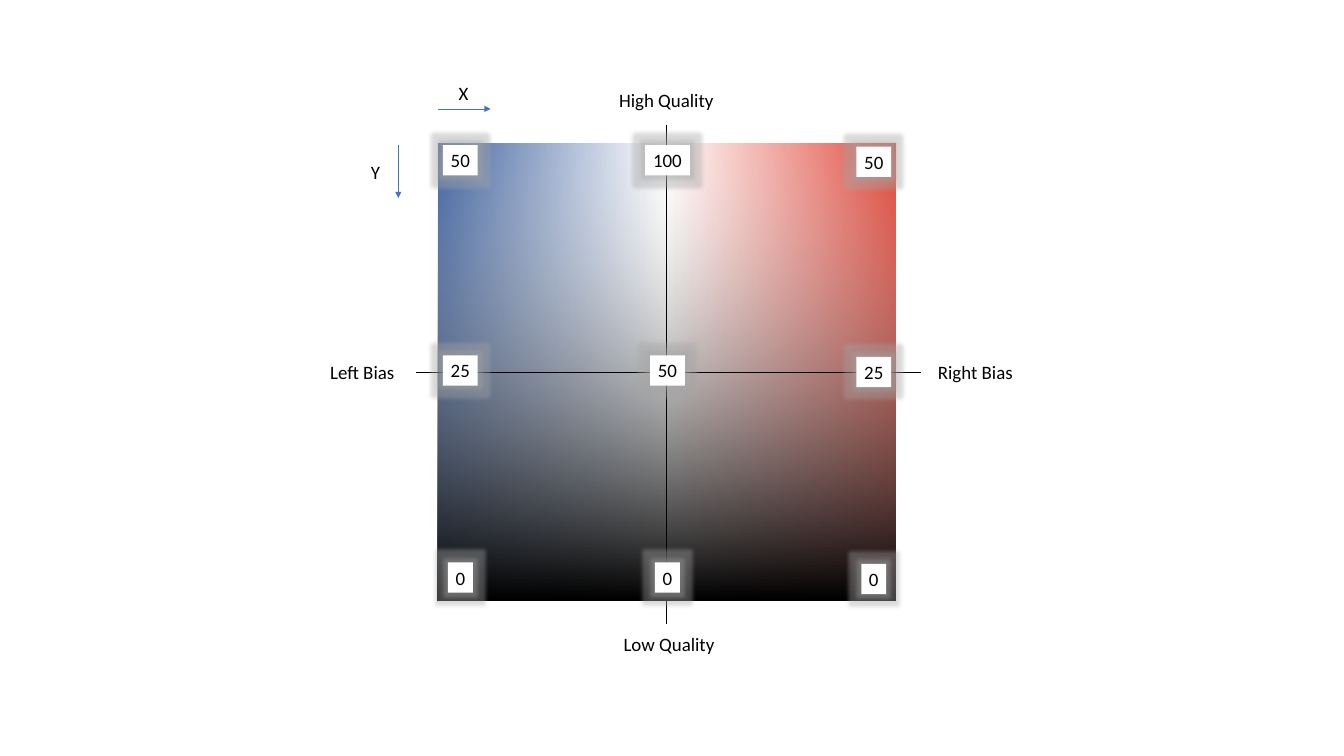
"""Build a slide with a bias and quality colour map and its scores."""
from lxml import etree
from pptx import Presentation
from pptx.dml.color import RGBColor
from pptx.enum.shapes import MSO_CONNECTOR, MSO_SHAPE
from pptx.enum.text import MSO_AUTO_SIZE, PP_ALIGN
from pptx.oxml.ns import qn
from pptx.util import Inches, Pt

RECTANGLE = MSO_SHAPE.RECTANGLE
STRAIGHT = MSO_CONNECTOR.STRAIGHT
FIT_SHAPE = MSO_AUTO_SIZE.SHAPE_TO_FIT_TEXT
LEFT, CENTER = PP_ALIGN.LEFT, PP_ALIGN.CENTER
BLACK = RGBColor(0x00, 0x00, 0x00)
WHITE = RGBColor(0xFF, 0xFF, 0xFF)
BLUE = RGBColor(0x2F, 0x55, 0x97)
RED = RGBColor(0xDD, 0x37, 0x29)
ARROW_BLUE = RGBColor(0x44, 0x72, 0xC4)
GLOW_GRAY = RGBColor(0xA5, 0xA5, 0xA5)


def add_color(parent, color, opacity):
    element = etree.SubElement(parent, qn("a:srgbClr"), val=str(color))
    if opacity < 100:
        etree.SubElement(element, qn("a:alpha"), val=str(opacity * 1000))


def write_text(shape, text, alignment):
    frame = shape.text_frame
    frame.word_wrap = False
    frame.auto_size = FIT_SHAPE
    paragraph = frame.paragraphs[0]
    paragraph.alignment = alignment
    run = paragraph.add_run()
    run.text = text
    run.font.name = "Calibri"
    run.font.size = Pt(18)
    run.font.color.rgb = BLACK


presentation = Presentation()
presentation.slide_width = Inches(17.78)
presentation.slide_height = Inches(10)
slide = presentation.slides.add_slide(presentation.slide_layouts[6])

gradients = [
    (0, [(0, BLUE, 100), (50, WHITE, 100), (100, RED, 100)]),
    (270, [(0, BLACK, 100), (100, WHITE, 10)]),
]
for angle, stops in gradients:
    square = slide.shapes.add_shape(
        RECTANGLE, Inches(5.79), Inches(1.89), Inches(6.06), Inches(6.06))
    square.shadow.inherit = False
    square.line.fill.background()
    square.fill.gradient()
    gradient = square.element.spPr.find(qn("a:gradFill"))
    stop_list = gradient.find(qn("a:gsLst"))
    for default_stop in list(stop_list):
        stop_list.remove(default_stop)
    for position, color, opacity in stops:
        stop = etree.SubElement(stop_list, qn("a:gs"), pos=str(position * 1000))
        add_color(stop, color, opacity)
    direction = gradient.find(qn("a:lin"))
    direction.set("ang", str(angle * 60000))
    direction.set("scaled", "0")

lines = [
    (5.51, 4.92, 12.19, 4.92, BLACK, False),
    (8.82, 1.65, 8.82, 8.26, BLACK, False),
    (5.27, 1.92, 5.27, 2.62, ARROW_BLUE, True),
    (5.79, 1.44, 6.49, 1.44, ARROW_BLUE, True),
]
for start_x, start_y, end_x, end_y, color, has_arrow in lines:
    connector = slide.shapes.add_connector(
        STRAIGHT, Inches(start_x), Inches(start_y), Inches(end_x), Inches(end_y))
    connector.line.color.rgb = color
    connector.line.width = Pt(0.5)
    if has_arrow:
        outline = connector.element.spPr.find(qn("a:ln"))
        etree.SubElement(outline, qn("a:tailEnd"), type="triangle")
    etree.SubElement(connector.element.spPr, qn("a:effectLst"))

labels = [
    ("Right Bias", 12.31, 4.72, 1.2, LEFT),
    ("Left Bias", 4.27, 4.72, 1.07, LEFT),
    ("High Quality", 8.08, 1.12, 1.47, CENTER),
    ("Low Quality", 8.14, 8.32, 1.42, CENTER),
    ("X", 5.97, 1.03, 0.33, LEFT),
    ("Y", 4.81, 2.07, 0.33, LEFT),
]
for text, left, top, width, alignment in labels:
    label = slide.shapes.add_textbox(
        Inches(left), Inches(top), Inches(width), Inches(0.4))
    write_text(label, text, alignment)

score_rows = [
    (1.92, ["50", "100", "50"]),
    (4.7, ["25", "50", "25"]),
    (7.44, ["0", "0", "0"]),
]
column_centers = [(6.09, 0), (8.83, 0), (11.56, 0.02)]
score_widths = {1: 0.33, 2: 0.46, 3: 0.59}
for top, scores in score_rows:
    for score, (center, drop) in zip(scores, column_centers):
        width = score_widths[len(score)]
        box = slide.shapes.add_shape(
            RECTANGLE, Inches(center - width / 2), Inches(top + drop),
            Inches(width), Inches(0.4))
        box.fill.solid()
        box.fill.fore_color.rgb = WHITE
        box.line.fill.background()
        box.shadow.inherit = False
        effects = box.element.spPr.find(qn("a:effectLst"))
        glow = etree.SubElement(effects, qn("a:glow"), rad=str(Pt(8)))
        add_color(glow, GLOW_GRAY, 40)
        write_text(box, score, CENTER)

presentation.save("out.pptx")
